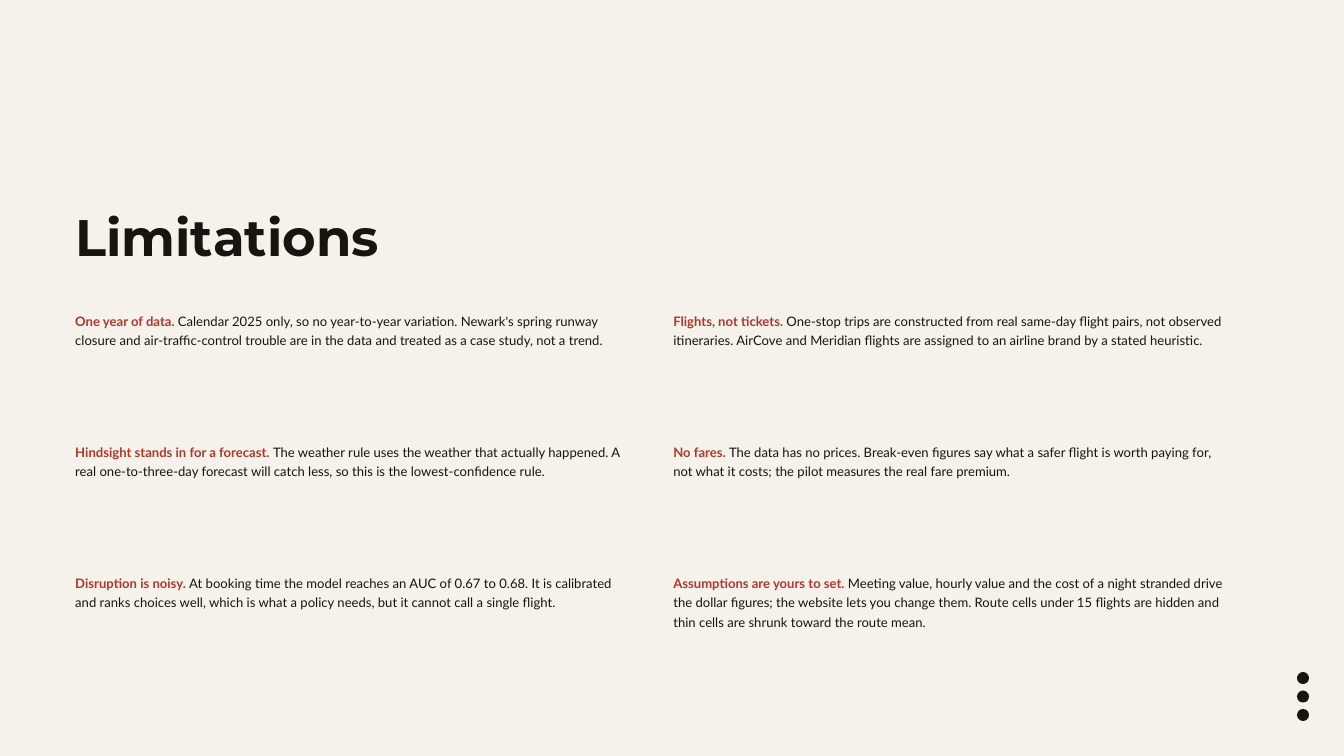
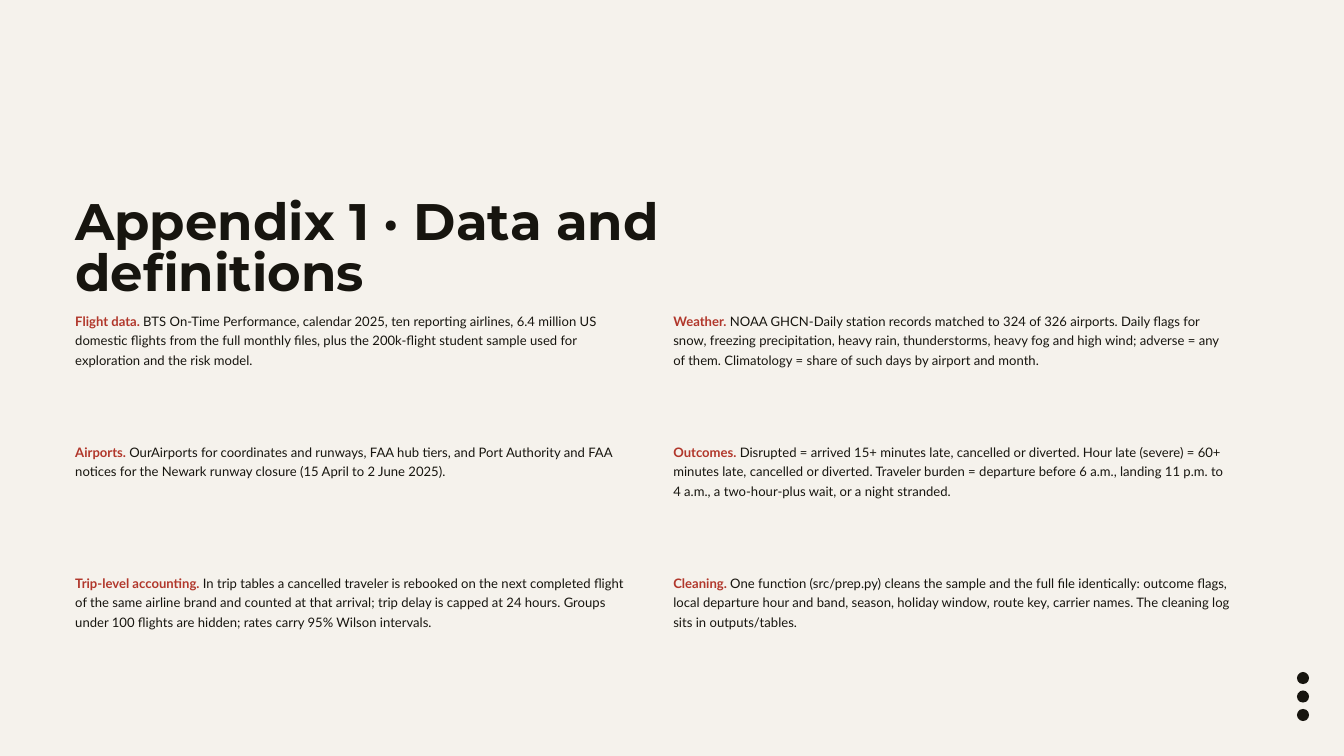
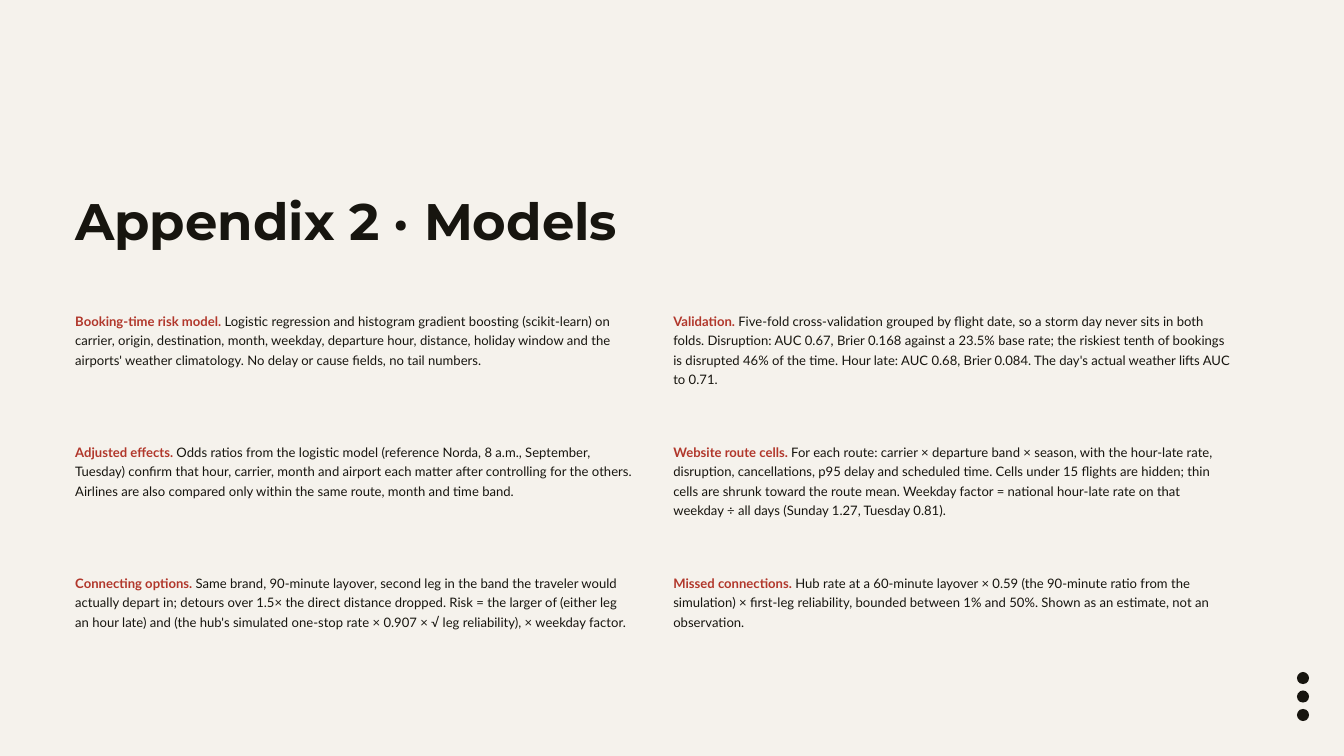
from pptx import Presentation
from pptx.dml.color import RGBColor
from pptx.enum.shapes import MSO_SHAPE as Shape
from pptx.enum.text import MSO_AUTO_SIZE as AutoSize
from pptx.util import Inches, Pt

INK = RGBColor(0x17, 0x15, 0x0F)
ACCENT = RGBColor(0xB1, 0x37, 0x2B)
PAPER = RGBColor(0xF5, 0xF2, 0xEC)
TITLE_FONT = "Montserrat"
BODY_FONT = "Lato"

MARGIN = 1.12
COLUMNS = 2
COLUMN_PITCH, ROW_PITCH = 8.9, 1.95
NOTES_TOP = 4.6
NOTE_WIDTH, NOTE_HEIGHT = 8.3, 1.85
DOT_LEFT, DOT_TOP, DOT_SIZE, DOT_PITCH = 19.3, 10, 0.18, 0.275

LIMITATIONS = [
    ("One year of data.",
     "Calendar 2025 only, so no year-to-year variation. Newark's spring runway closure and "
     "air-traffic-control trouble are in the data and treated as a case study, not a trend."),
    ("Flights, not tickets.",
     "One-stop trips are constructed from real same-day flight pairs, not observed itineraries. "
     "AirCove and Meridian flights are assigned to an airline brand by a stated heuristic."),
    ("Hindsight stands in for a forecast.",
     "The weather rule uses the weather that actually happened. A real one-to-three-day forecast "
     "will catch less, so this is the lowest-confidence rule."),
    ("No fares.",
     "The data has no prices. Break-even figures say what a safer flight is worth paying for, "
     "not what it costs; the pilot measures the real fare premium."),
    ("Disruption is noisy.",
     "At booking time the model reaches an AUC of 0.67 to 0.68. It is calibrated and ranks "
     "choices well, which is what a policy needs, but it cannot call a single flight."),
    ("Assumptions are yours to set.",
     "Meeting value, hourly value and the cost of a night stranded drive the dollar figures; "
     "the website lets you change them. Route cells under 15 flights are hidden and thin cells "
     "are shrunk toward the route mean."),
]

DEFINITIONS = [
    ("Flight data.",
     "BTS On-Time Performance, calendar 2025, ten reporting airlines, 6.4 million US domestic "
     "flights from the full monthly files, plus the 200k-flight student sample used for "
     "exploration and the risk model."),
    ("Weather.",
     "NOAA GHCN-Daily station records matched to 324 of 326 airports. Daily flags for snow, "
     "freezing precipitation, heavy rain, thunderstorms, heavy fog and high wind; adverse = any "
     "of them. Climatology = share of such days by airport and month."),
    ("Airports.",
     "OurAirports for coordinates and runways, FAA hub tiers, and Port Authority and FAA notices "
     "for the Newark runway closure (15 April to 2 June 2025)."),
    ("Outcomes.",
     "Disrupted = arrived 15+ minutes late, cancelled or diverted. Hour late (severe) = 60+ "
     "minutes late, cancelled or diverted. Traveler burden = departure before 6 a.m., landing "
     "11 p.m. to 4 a.m., a two-hour-plus wait, or a night stranded."),
    ("Trip-level accounting.",
     "In trip tables a cancelled traveler is rebooked on the next completed flight of the same "
     "airline brand and counted at that arrival; trip delay is capped at 24 hours. Groups under "
     "100 flights are hidden; rates carry 95% Wilson intervals."),
    ("Cleaning.",
     "One function (src/prep.py) cleans the sample and the full file identically: outcome flags, "
     "local departure hour and band, season, holiday window, route key, carrier names. The "
     "cleaning log sits in outputs/tables."),
]

MODELS = [
    ("Booking-time risk model.",
     "Logistic regression and histogram gradient boosting (scikit-learn) on carrier, origin, "
     "destination, month, weekday, departure hour, distance, holiday window and the airports' "
     "weather climatology. No delay or cause fields, no tail numbers."),
    ("Validation.",
     "Five-fold cross-validation grouped by flight date, so a storm day never sits in both "
     "folds. Disruption: AUC 0.67, Brier 0.168 against a 23.5% base rate; the riskiest tenth of "
     "bookings is disrupted 46% of the time. Hour late: AUC 0.68, Brier 0.084. The day's actual "
     "weather lifts AUC to 0.71."),
    ("Adjusted effects.",
     "Odds ratios from the logistic model (reference Norda, 8 a.m., September, Tuesday) confirm "
     "that hour, carrier, month and airport each matter after controlling for the others. "
     "Airlines are also compared only within the same route, month and time band."),
    ("Website route cells.",
     "For each route: carrier × departure band × season, with the hour-late rate, disruption, "
     "cancellations, p95 delay and scheduled time. Cells under 15 flights are hidden; thin cells "
     "are shrunk toward the route mean. Weekday factor = national hour-late rate on that weekday "
     "÷ all days (Sunday 1.27, Tuesday 0.81)."),
    ("Connecting options.",
     "Same brand, 90-minute layover, second leg in the band the traveler would actually depart "
     "in; detours over 1.5× the direct distance dropped. Risk = the larger of (either leg an "
     "hour late) and (the hub's simulated one-stop rate × 0.907 × √ leg reliability), × weekday "
     "factor."),
    ("Missed connections.",
     "Hub rate at a 60-minute layover × 0.59 (the 90-minute ratio from the simulation) × "
     "first-leg reliability, bounded between 1% and 50%. Shown as an estimate, not an "
     "observation."),
]


def add_text(slide, text, left, top, width, height, *, font, size, leading,
             color=INK, bold=False, lead=""):
    """Add a text box; lead is an optional bold accent phrase before the text."""
    box = slide.shapes.add_textbox(Inches(left), Inches(top), Inches(width), Inches(height))
    frame = box.text_frame
    frame.word_wrap = True
    frame.auto_size = AutoSize.SHAPE_TO_FIT_TEXT
    frame.margin_left = frame.margin_top = frame.margin_right = frame.margin_bottom = 0
    paragraph = frame.paragraphs[0]
    paragraph.line_spacing = Pt(leading)
    runs = [(text, color, bold)]
    if lead:
        runs.insert(0, (lead + " ", ACCENT, True))
    for words, run_color, run_bold in runs:
        run = paragraph.add_run()
        run.text = words
        run.font.name = font
        run.font.size = Pt(size)
        run.font.bold = run_bold
        run.font.color.rgb = run_color


def add_dots(slide):
    dots = slide.shapes.add_group_shape()
    for i in range(3):
        dot = dots.shapes.add_shape(Shape.OVAL, Inches(DOT_LEFT), Inches(DOT_TOP + i * DOT_PITCH),
                                    Inches(DOT_SIZE), Inches(DOT_SIZE))
        dot.shadow.inherit = False
        dot.fill.solid()
        dot.fill.fore_color.rgb = INK
        dot.line.fill.background()


def add_notes_grid(slide, notes):
    """Lay the notes out row by row in two columns."""
    for i, (lead, text) in enumerate(notes):
        row, column = divmod(i, COLUMNS)
        add_text(slide, text, MARGIN + column * COLUMN_PITCH, NOTES_TOP + row * ROW_PITCH,
                 NOTE_WIDTH, NOTE_HEIGHT, font=BODY_FONT, size=14, leading=21, lead=lead)


def add_notes_slide(deck, title, notes, title_top=2.97, title_width=12, title_height=1.56):
    slide = deck.slides.add_slide(deck.slide_layouts[6])
    add_dots(slide)
    add_text(slide, title, MARGIN, title_top, title_width, title_height,
             font=TITLE_FONT, size=55, leading=55, bold=True)
    add_notes_grid(slide, notes)


def main():
    deck = Presentation()
    deck.slide_width, deck.slide_height = Inches(20), Inches(11.25)
    paper = deck.slide_master.background.fill
    paper.solid()
    paper.fore_color.rgb = PAPER

    add_notes_slide(deck, "Limitations", LIMITATIONS,
                    title_top=3.21, title_width=10, title_height=0.8)
    add_notes_slide(deck, "Appendix 1 · Data and definitions", DEFINITIONS)
    add_notes_slide(deck, "Appendix 2 · Models", MODELS)
    deck.save("out.pptx")


if __name__ == "__main__":
    main()
